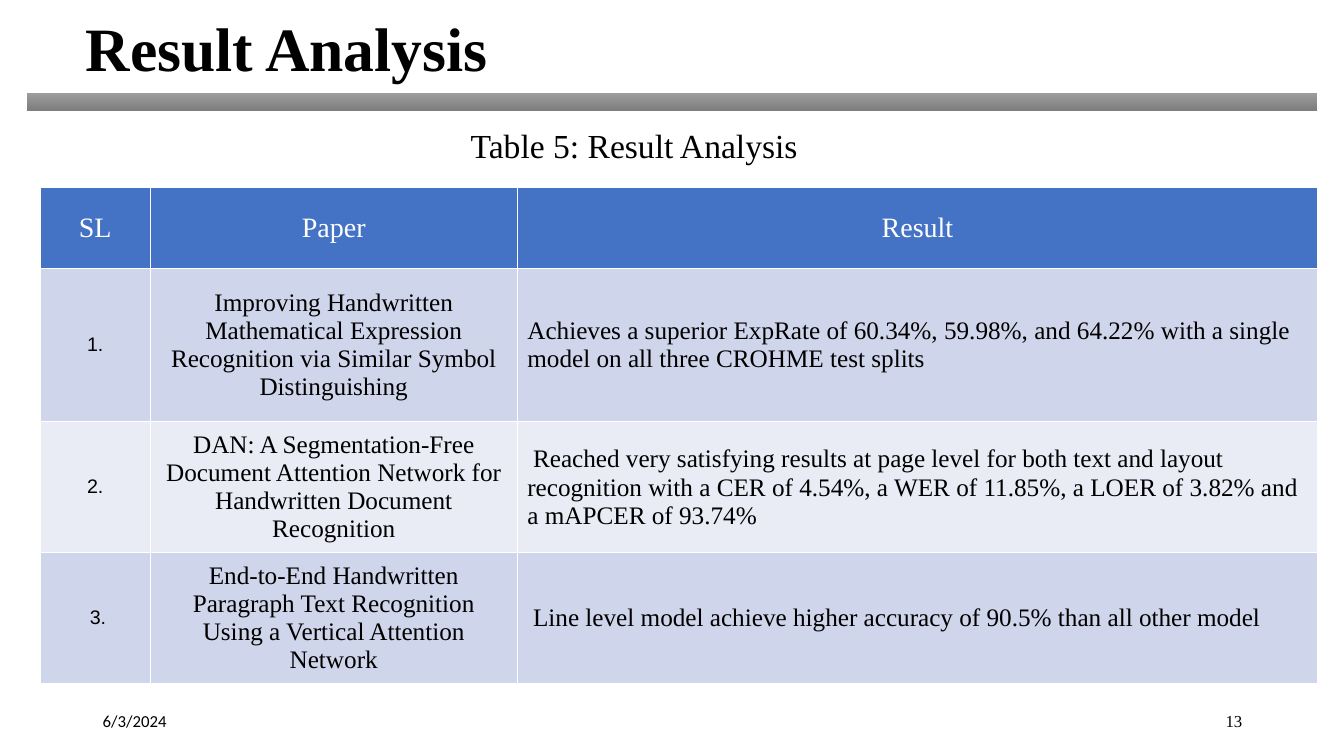
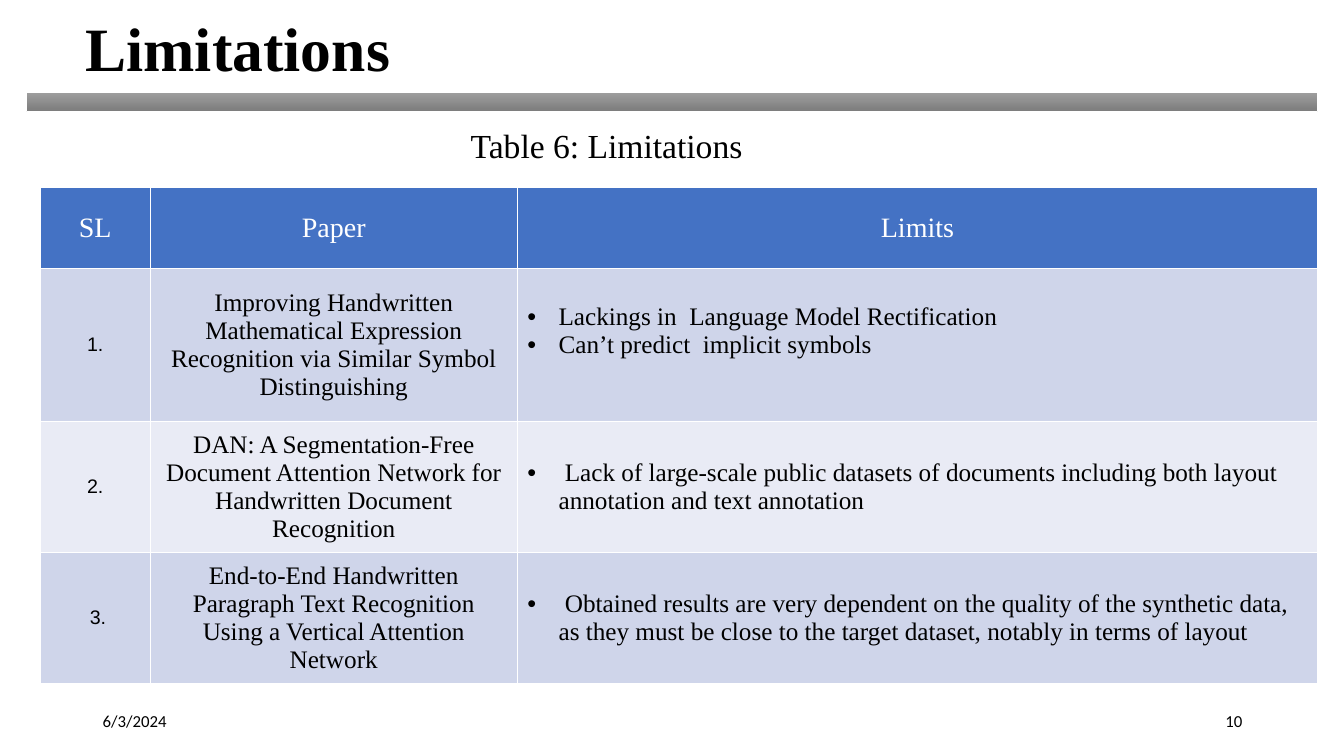
"""Build two table slides, on results and limitations, in one shared style."""
from dataclasses import dataclass

from lxml.etree import SubElement
from pptx import Presentation
from pptx.dml.color import RGBColor
from pptx.enum.shapes import MSO_SHAPE
from pptx.enum.text import MSO_ANCHOR, PP_ALIGN
from pptx.oxml.ns import qn
from pptx.util import Inches, Pt


@dataclass(frozen=True)
class Theme:
    ink: str = "000000"
    white: str = "FFFFFF"
    head: str = "4472C4"
    bands: tuple = ("CFD5EA", "E9EBF5")
    bar: tuple = ("9D9D9D", "7C7C7C")
    serif: str = "Times New Roman"
    sans: str = "Calibri"
    count: str = "Arial"
    title: int = 44
    label: int = 24
    top: int = 20
    body: int = 18
    index: int = 14
    foot: int = 12


look = Theme()
deck = Presentation()
deck.slide_width, deck.slide_height = Inches(13.33), Inches(7.5)


def share(left, top, width, height):
    """Turn percentages of the slide into lengths."""
    wide, high = deck.slide_width / 100, deck.slide_height / 100
    return int(left * wide), int(top * high), int(width * wide), int(height * high)


def write(frame, paras, size, font=look.serif, color=look.ink, align=PP_ALIGN.LEFT, bold=False):
    """Fill a frame with paragraphs, each a list of (text, font) runs."""
    frame.word_wrap = True
    for n, runs in enumerate(paras):
        para = frame.add_paragraph() if n else frame.paragraphs[0]
        para.alignment = align
        for text, face in runs:
            run = para.add_run()
            run.text = text
            run.font.name = face or font
            run.font.size = Pt(size)
            run.font.bold = bold
            run.font.color.rgb = RGBColor.from_string(color)


cols = (8.18, 27.31, 59.56)
rows = (10.67, 20.27, 17.33, 17.33)
marks = ("1.", "2.", " 3.")
papers = (
    "Improving Handwritten Mathematical Expression Recognition via Similar Symbol Distinguishing",
    "DAN: A Segmentation-Free Document Attention Network for Handwritten Document Recognition",
    "End-to-End Handwritten Paragraph Text Recognition Using a Vertical Attention Network",
)
gap = (" ", look.sans)
results = (
    [[("Achieves a superior ExpRate of 60.34%, 59.98%, and 64.22% with a single model "
       "on all three CROHME test splits", None)]],
    [[gap, ("Reached very satisfying results at page level for both text and layout recognition "
            "with a CER of 4.54%, a WER of 11.85%, a LOER of 3.82% and a mAPCER of 93.74%", None)]],
    [[gap, ("Line level model achieve higher accuracy of 90.5% than all other model", None)]],
)
limits = (
    [[("Lackings in  Language Model Rectification", None)],
     [("Can’t predict  implicit symbols", None)]],
    [[(" Lack of large-scale public datasets of documents including both layout annotation "
       "and text annotation", None)]],
    [[(" Obtained results are very dependent on the quality of the synthetic data, as they must "
       "be close to the target dataset, notably in terms of layout", None)]],
)
pages = (
    ("Result Analysis", "Table 5: Result Analysis", "Result", results, False, "13", look.serif),
    ("Limitations", "Table 6: Limitations", "Limits", limits, True, "10", look.sans),
)

for title, label, head, facts, listed, number, face in pages:
    slide = deck.slides.add_slide(deck.slide_layouts[6])

    box = slide.shapes.add_textbox(*share(5.63, 1.73, 52.44, 11.2))
    write(box.text_frame, [[(title, None)]], look.title, bold=True)
    box.text_frame.paragraphs[0].line_spacing = 0.9

    bar = slide.shapes.add_shape(MSO_SHAPE.RECTANGLE, *share(1.95, 12.27, 96.1, 2.53))
    bar.shadow.inherit = False
    bar.fill.gradient()
    bar.fill.gradient_angle = 270
    for stop, tone in zip(bar.fill.gradient_stops, look.bar):
        stop.color.rgb = RGBColor.from_string(tone)
    bar.line.color.rgb = RGBColor.from_string(look.white)
    bar.line.width = Pt(0.5)

    box = slide.shapes.add_textbox(*share(34.28, 15.87, 36.38, 6.67))
    write(box.text_frame, [[(label, None)]], look.label)

    area = share(3, 24.8, sum(cols), sum(rows))
    table = slide.shapes.add_table(len(rows), len(cols), *area).table
    table.first_row = table.horz_banding = False
    for col, width in zip(table.columns, cols):
        col.width = share(0, 0, width, 0)[2]
    for row, height in zip(table.rows, rows):
        row.height = share(0, 0, 0, height)[3]

    for c, name in enumerate(("SL", "Paper", head)):
        write(table.cell(0, c).text_frame, [[(name, None)]], look.top,
              color=look.white, align=PP_ALIGN.CENTER)
    for r, (mark, paper, fact) in enumerate(zip(marks, papers, facts), 1):
        write(table.cell(r, 0).text_frame, [[(mark, None)]], look.index,
              look.count, align=PP_ALIGN.CENTER)
        write(table.cell(r, 1).text_frame, [[(paper, None)]], look.body, align=PP_ALIGN.CENTER)
        cell = table.cell(r, 2)
        write(cell.text_frame, fact, look.body)
        if listed:
            for para in cell.text_frame.paragraphs:
                props = para._p.get_or_add_pPr()
                props.set("marL", str(Inches(0.31)))
                props.set("indent", str(-Inches(0.31)))
                SubElement(props, qn("a:buFont"), typeface=look.count)
                SubElement(props, qn("a:buChar"), char="•")
            if len(fact) > 1:
                cell.margin_bottom = Inches(0.33)

    for r in range(len(rows)):
        for c in range(len(cols)):
            cell = table.cell(r, c)
            cell.vertical_anchor = MSO_ANCHOR.MIDDLE
            props = cell._tc.get_or_add_tcPr()
            for side in ("lnL", "lnR", "lnT", "lnB"):
                edge = SubElement(props, qn("a:" + side), w=str(Pt(1)))
                SubElement(SubElement(edge, qn("a:solidFill")), qn("a:srgbClr"), val=look.white)
            cell.fill.solid()
            tone = look.bands[(r - 1) % 2] if r else look.head
            cell.fill.fore_color.rgb = RGBColor.from_string(tone)

    for left, text, font, align in ((6.9, "6/3/2024", look.sans, PP_ALIGN.LEFT),
                                    (70.67, number, face, PP_ALIGN.RIGHT)):
        box = slide.shapes.add_textbox(*share(left, 92.67, 22.5, 5.33))
        box.text_frame.vertical_anchor = MSO_ANCHOR.MIDDLE
        write(box.text_frame, [[(text, None)]], look.foot, font, align=align)

deck.save("out.pptx")
